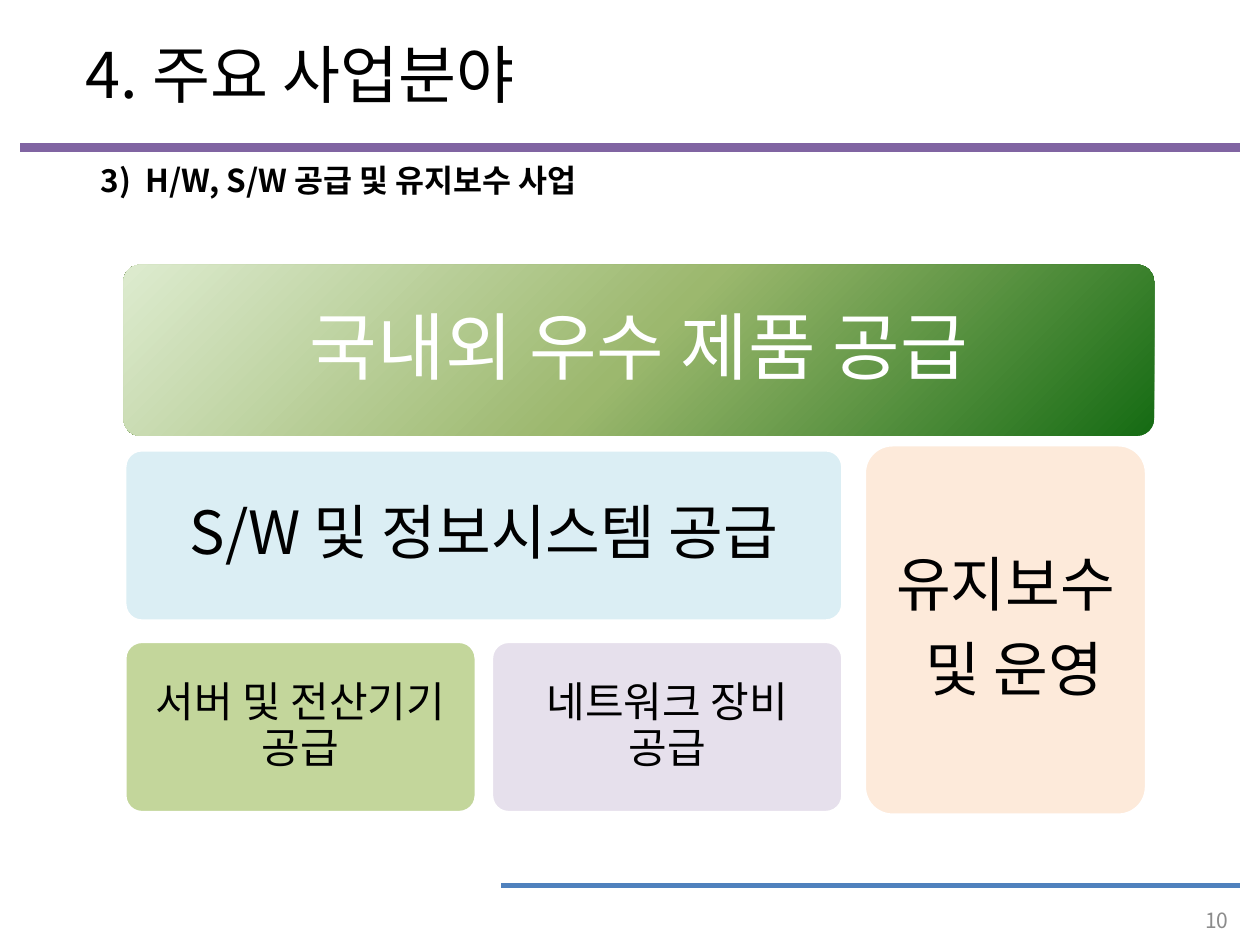
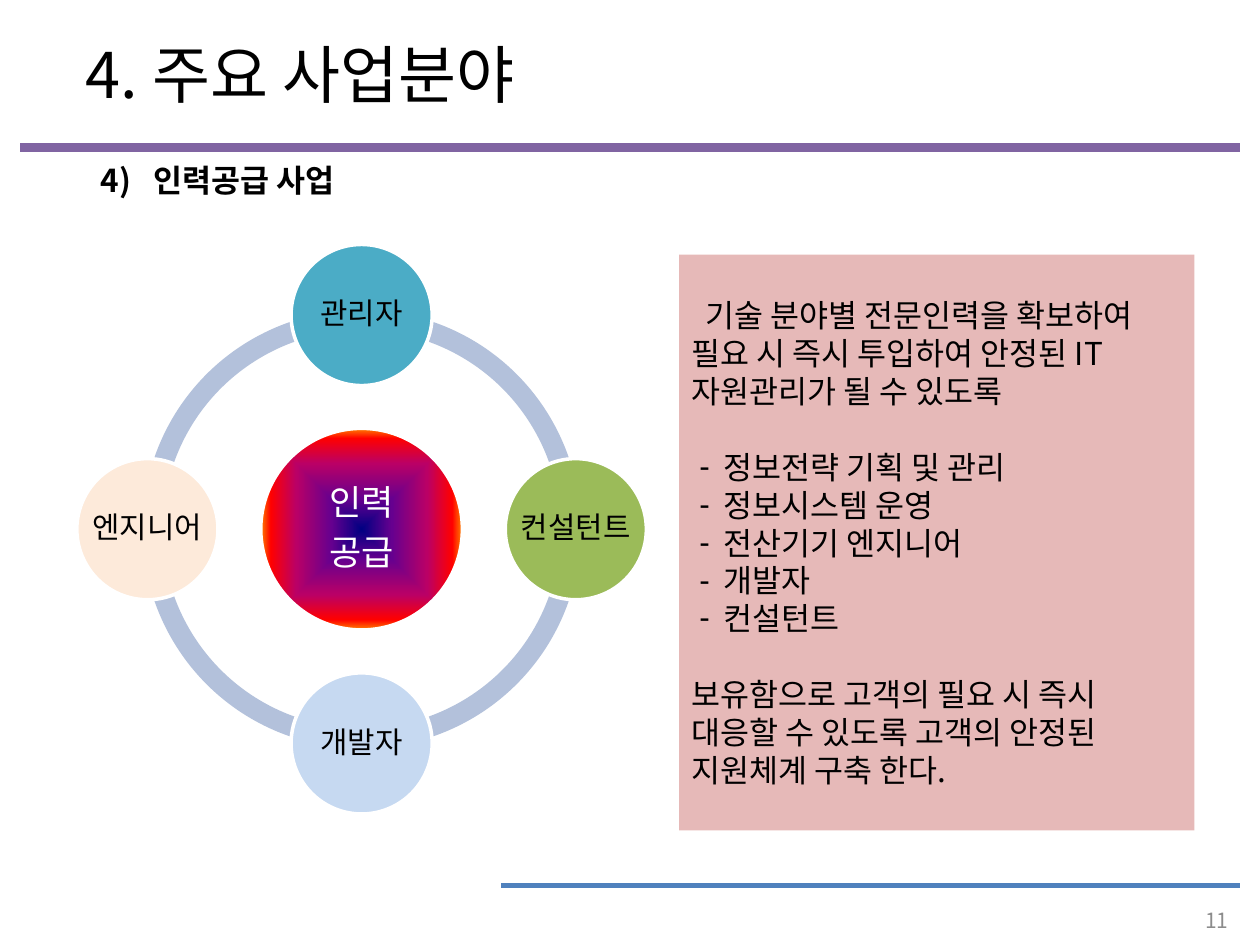
from dataclasses import dataclass
from math import cos, radians, sin

from lxml.etree import SubElement
from pptx import Presentation
from pptx.dml.color import RGBColor
from pptx.enum.shapes import MSO_CONNECTOR as Connector, MSO_SHAPE as Shape
from pptx.enum.text import MSO_ANCHOR as Anchor, MSO_AUTO_SIZE as AutoSize, PP_ALIGN as Align
from pptx.oxml import parse_xml
from pptx.oxml.ns import nsdecls, qn
from pptx.util import Inches, Pt

FONT = "Noto Sans CJK KR"
COLORS = {
    "black": "000000", "white": "FFFFFF", "gray": "8C8C8C",
    "header_line": "8064A2", "footer_line": "4F81BD",
    "sky": "DBEEF4", "lime": "C3D69B", "lilac": "E6E0EC", "peach": "FDEADA",
    "ring": "B3C1DB", "teal": "4BACC6", "green": "9BBB59", "ice": "C6D9F1",
    "rose": "E6B9B8",
}

# The slide is a grid of 100 columns and 75 rows of square cells
SLIDE_WIDTH, SLIDE_HEIGHT = Inches(10), Inches(7.5)
CELL = SLIDE_WIDTH // 100
LINE_HEIGHT = 1.21


@dataclass(frozen=True)
class Box:
    column: float
    row: float
    columns: float
    rows: float

    def lengths(self) -> list[int]:
        return [round(n * CELL) for n in (self.column, self.row, self.columns, self.rows)]


@dataclass(frozen=True)
class Gradient:
    stops: tuple[tuple[int, str], ...]
    kind: str
    focus: tuple[int, int, int, int]


@dataclass(frozen=True)
class Line:
    """One paragraph; margin and hanging are in grid cells."""
    text: str
    margin: float = 0
    indent: float = 0
    bullet: str = ""
    before: float = 0


@dataclass(frozen=True)
class Tile:
    lines: tuple[Line, ...]
    box: Box
    fill: str | Gradient
    size: int
    inset: float
    color: str = "black"
    outlined: bool = True
    wrap: bool = True


GREEN_SWEEP = Gradient(((0, "DDEBCF"), (50, "9CB86E"), (100, "156B13")), "circle", (0, 0, 100, 100))
SUNSET = Gradient(
    ((0, "000082"), (30, "66008F"), (65, "BA0066"), (90, "FF0000"), (100, "FF8200")),
    "shape", (50, 50, 50, 50))

# Business blocks: two columns on the left share a row height
BLOCK_ROWS, HALF, GUTTER, LEFT = 13.6, 27.9, 1.2, 9.9
BLOCKS = (
    Tile((Line("국내외 우수 제품 공급"),), Box(9.8, 21, 81.8, BLOCK_ROWS),
         GREEN_SWEEP, 42, 1.7, "white", outlined=False),
    Tile((Line("S/W 및 정보시스템 공급"),), Box(LEFT, 35.7, 2 * HALF + GUTTER, BLOCK_ROWS),
         "sky", 34, 1.4),
    Tile((Line("서버 및 전산기기 공급"),), Box(LEFT, 50.9, HALF, BLOCK_ROWS), "lime", 24, 1),
    Tile((Line("네트워크 장비 공급"),), Box(LEFT + HALF + GUTTER, 50.9, HALF, BLOCK_ROWS),
         "lilac", 24, 1),
    Tile((Line("유지보수"), Line("및 운영", margin=1.4)), Box(68.6, 35.3, 22.4, 29.4),
         "peach", 34, 1.4),
)

# Staff wheel: roles go clockwise from the top
WHEEL_CENTER = (28.7, 42)
RING_SIZE, ORBIT, ROLE_SIZE, HUB_SIZE = 34.8, 17, 11.2, 16
ROLES = (("관리자", "teal"), ("컨설턴트", "green"), ("개발자", "ice"), ("엔지니어", "peach"))
ARC_QUARTER, ARC_FULL, ARC_THICKNESS = 54, 216, 0.046

STAFF_BOX = Box(53.9, 20.2, 40.9, 45.7)
STAFF_SKILLS = ("정보전략 기획 및 관리", "정보시스템 운영", "전산기기 엔지니어", "개발자", "컨설턴트")
PARAGRAPH_GAP = 18 * LINE_HEIGHT
STAFF_LINES = (
    Line("기술 분야별 전문인력을 확보하여 필요 시 즉시 투입하여 안정된 IT 자원관리가 될 수 있도록",
         indent=1.1),
    *(Line(skill, 2.5, -1.9, "-", 0 if number else PARAGRAPH_GAP)
      for number, skill in enumerate(STAFF_SKILLS)),
    Line("보유함으로 고객의 필요 시 즉시 대응할 수 있도록 고객의 안정된 지원체계 구축 한다.",
         before=PARAGRAPH_GAP),
)


def rgb(name: str) -> RGBColor:
    return RGBColor.from_string(COLORS[name])


def place(shape, box: Box) -> None:
    for name, length in zip(("left", "top", "width", "height"), box.lengths()):
        setattr(shape, name, length)


def square(center: tuple[float, float], size: float) -> Box:
    return Box(center[0] - size / 2, center[1] - size / 2, size, size)


def write(frame, lines, size: float, color: str = "black", align=Align.LEFT, bold: bool = False,
          spacing: float = 1, after: float = 0, **frame_format) -> None:
    """Fill a text frame with lines that share one format."""
    frame_settings = {"word_wrap": True, "auto_size": AutoSize.NONE,
                      "vertical_anchor": Anchor.MIDDLE, **frame_format}
    for name, value in frame_settings.items():
        setattr(frame, name, value)
    for number, line in enumerate(lines):
        paragraph = frame.add_paragraph() if number else frame.paragraphs[0]
        properties = paragraph._p.get_or_add_pPr()
        properties.set("marL", str(round(line.margin * CELL)))
        properties.set("indent", str(round(line.indent * CELL)))
        if line.bullet:
            SubElement(properties, qn("a:buChar"), char=line.bullet)
        else:
            SubElement(properties, qn("a:buNone"))
        paragraph_format = {"alignment": align, "line_spacing": spacing,
                            "space_before": Pt(line.before), "space_after": Pt(after)}
        for name, value in paragraph_format.items():
            setattr(paragraph, name, value)
        run = paragraph.add_run()
        run.text = line.text
        for name, value in {"size": Pt(size), "bold": bold, "name": FONT}.items():
            setattr(run.font, name, value)
        run.font.color.rgb = rgb(color)
        SubElement(run._r.get_or_add_rPr(), qn("a:ea"), typeface=FONT)


def paint(shape, fill: str | Gradient) -> None:
    if isinstance(fill, str):
        shape.fill.solid()
        shape.fill.fore_color.rgb = rgb(fill)
        return
    stops = "".join(f'<a:gs pos="{share * 1000}"><a:srgbClr val="{value}"/></a:gs>'
                    for share, value in fill.stops)
    focus = " ".join(f'{side}="{share * 1000}"' for side, share in zip("ltrb", fill.focus))
    shape.fill.background()
    properties = shape.element.spPr
    properties.replace(properties.find(qn("a:noFill")), parse_xml(
        f'<a:gradFill {nsdecls("a")} rotWithShape="1"><a:gsLst>{stops}</a:gsLst>'
        f'<a:path path="{fill.kind}"><a:fillToRect {focus}/></a:path></a:gradFill>'))


def add_preset(slide, preset, box: Box, fill: str | Gradient, outlined: bool, adjustments=()):
    shape = slide.shapes.add_shape(preset, *box.lengths())
    shape.shadow.inherit = False
    for number, value in enumerate(adjustments):
        shape.adjustments[number] = value
    paint(shape, fill)
    if outlined:
        shape.line.color.rgb = rgb("white")
        shape.line.width = Pt(2)
    else:
        shape.line.fill.background()
    return shape


def add_tile(slide, tile: Tile, preset, adjustments=()) -> None:
    shape = add_preset(slide, preset, tile.box, tile.fill, tile.outlined, adjustments)
    inset = round(tile.inset * CELL)
    margins = {f"margin_{side}": inset for side in ("left", "top", "right", "bottom")}
    write(shape.text_frame, tile.lines, tile.size, tile.color, Align.CENTER,
          spacing=0.9, after=0.35 * tile.size, word_wrap=tile.wrap, **margins)


def add_text(slide, box: Box, line: Line, size: int, **text_format) -> None:
    write(slide.shapes.add_textbox(*box.lengths()).text_frame, [line], size, **text_format)


def add_master_lines(presentation, slide) -> None:
    """Draw the header and footer lines and hand them to the slide master."""
    for start, row, color, width in ((1.6, 11.7, "header_line", 5), (39.8, 70.3, "footer_line", 3)):
        ends = [round(n * CELL) for n in (start, row, 98.4, row)]
        line = slide.shapes.add_connector(Connector.STRAIGHT, *ends)
        line.line.color.rgb = rgb(color)
        line.line.width = Pt(width)
        SubElement(line.element.spPr, qn("a:effectLst"))
        presentation.slide_master.shapes.element.append(line.element)


def add_slide(presentation, layout: int, heading: Line, page: int):
    slide = presentation.slides.add_slide(presentation.slide_layouts[layout])
    title = slide.shapes.title
    place(title, Box(3.1, 2.3, 41.4, 7))
    write(title.text_frame, [Line("4. 주요 사업분야")], 36, align=Align.CENTER)
    add_text(slide, Box(7, 12.3, 50, 4), heading, 18, bold=True, vertical_anchor=Anchor.TOP)
    add_text(slide, Box(94.5, 71.9, 4, 2.2), Line(str(page)), 12, color="gray",
             align=Align.RIGHT, word_wrap=False)
    return slide


def add_wheel(slide) -> None:
    # Ring of four arcs, then the hub
    for quarter in range(len(ROLES)):
        start = quarter * ARC_QUARTER
        add_preset(slide, Shape.BLOCK_ARC, square(WHEEL_CENTER, RING_SIZE), "ring", False,
                   (start, (start + ARC_QUARTER) % ARC_FULL, ARC_THICKNESS))
    hub = Tile((Line("인력"), Line("공급")), square(WHEEL_CENTER, HUB_SIZE), SUNSET, 20, 0.3,
               "white", wrap=False)
    add_tile(slide, hub, Shape.OVAL)
    # Roles on the orbit
    for number, (role, fill) in enumerate(ROLES):
        angle = radians(number * 360 / len(ROLES) - 90)
        center = (WHEEL_CENTER[0] + ORBIT * cos(angle), WHEEL_CENTER[1] + ORBIT * sin(angle))
        add_tile(slide, Tile((Line(role),), square(center, ROLE_SIZE), fill, 17, 0.2, wrap=False),
                 Shape.OVAL)


def main() -> None:
    presentation = Presentation()
    presentation.slide_width, presentation.slide_height = SLIDE_WIDTH, SLIDE_HEIGHT

    # Supply and maintenance
    supply = add_slide(presentation, 5, Line("3)\tH/W, S/W 공급 및 유지보수 사업", 3.6, -3.6), 10)
    add_master_lines(presentation, supply)
    for block in BLOCKS:
        add_tile(supply, block, Shape.ROUNDED_RECTANGLE, (0.1,))

    # Staffing
    staffing = add_slide(presentation, 1, Line("4)\t인력공급 사업", 4.2, -4.2), 11)
    add_wheel(staffing)
    panel = staffing.placeholders[1]
    place(panel, STAFF_BOX)
    paint(panel, "rose")
    write(panel.text_frame, STAFF_LINES, 18)

    presentation.save("out.pptx")


if __name__ == "__main__":
    main()
